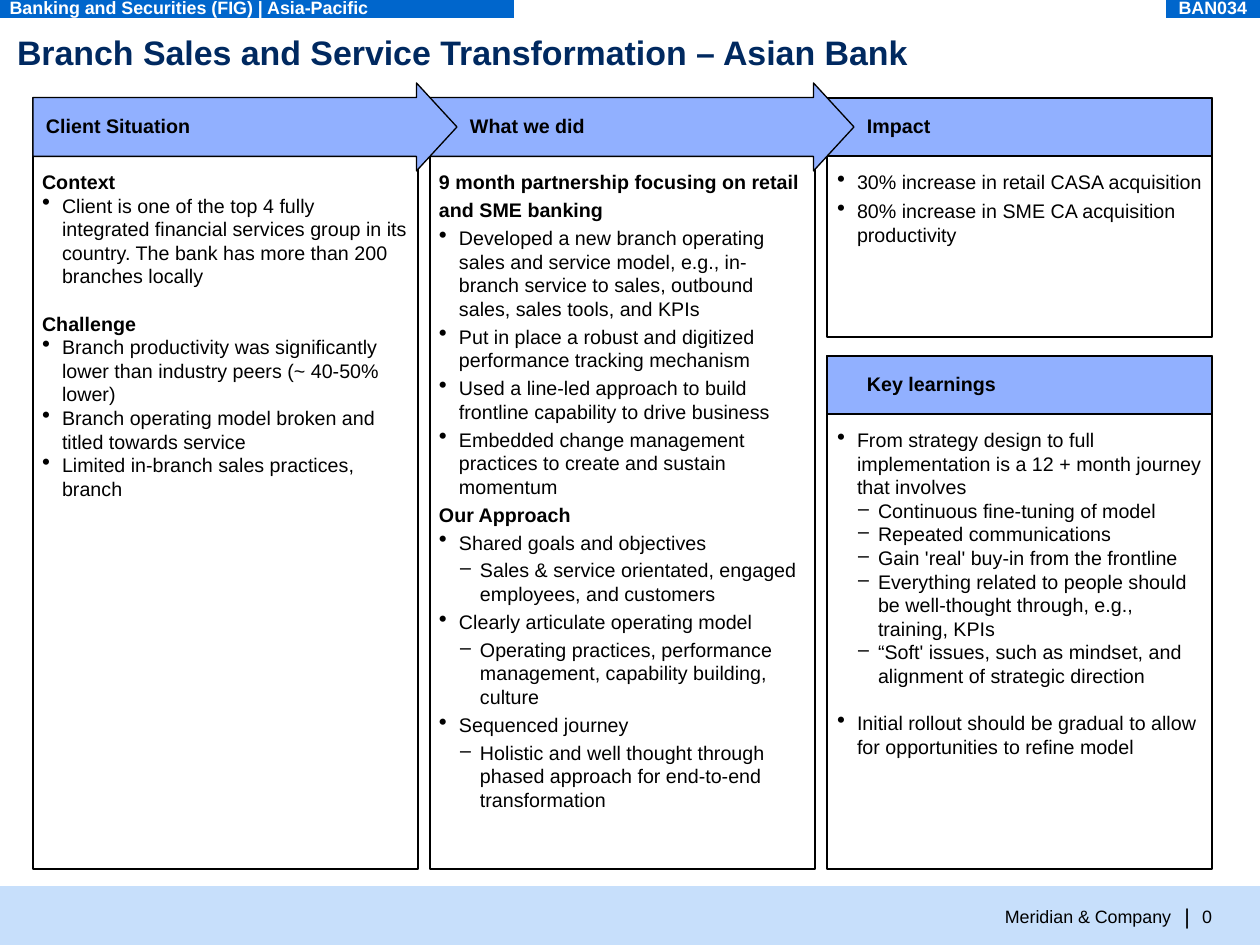
from dataclasses import dataclass

from lxml import etree
from pptx import Presentation
from pptx import util as u
from pptx.dml import color
from pptx.enum import shapes, text
from pptx.oxml import ns


@dataclass(frozen=True)
class Theme:
    font: str = "Arial"
    ink: str = "000000"
    navy: str = "002960"
    white: str = "FFFFFF"
    header: str = "91B0FF"
    tag: str = "0066CC"
    footer: str = "C7DFFB"
    title_size: int = 19
    body_size: int = 11
    small_size: int = 10
    rule_size: int = 12
    line_width: float = 0.75


THEME = Theme()
TITLE = "Branch Sales and Service Transformation – Asian Bank"
TAGS = [("Banking and Securities (FIG) | Asia-Pacific", -3, 517), ("BAN034", 1166, 94)]
FOOTER = [
    ("Meridian & Company", 900, 271, THEME.small_size, "RIGHT"),
    ("|", 1174, 16, THEME.rule_size, "RIGHT"),
    ("0", 1202, 22, THEME.small_size, "LEFT"),
]

HEADING, BULLET, DASH = 0, 1, 2
TIGHT, STEP, SMALL, BREAK = 0, 2.4, 3, 13.2

SITUATION = [
    (HEADING, TIGHT, "Context"),
    (BULLET, TIGHT, "Client is one of the top 4 fully integrated financial services group in its country. "
     "The bank has more than 200 branches locally"),
    (HEADING, BREAK, "Challenge"),
    (BULLET, TIGHT, "Branch productivity was significantly lower than industry peers (~ 40-50% lower)"),
    (BULLET, TIGHT, "Branch operating model broken and titled towards service"),
    (BULLET, TIGHT, "Limited in-branch sales practices, branch"),
]
WORK = [
    (HEADING, TIGHT, "9 month partnership focusing on retail"),
    (HEADING, STEP, "and SME banking"),
    (BULLET, STEP, "Developed a new branch operating sales and service model, e.g., in-branch service to sales, "
     "outbound sales, sales tools, and KPIs"),
    (BULLET, STEP, "Put in place a robust and digitized performance tracking mechanism"),
    (BULLET, STEP, "Used a line-led approach to build frontline capability to drive business"),
    (BULLET, STEP, "Embedded change management practices to create and sustain momentum"),
    (HEADING, STEP, "Our Approach"),
    (BULLET, STEP, "Shared goals and objectives"),
    (DASH, STEP, "Sales & service orientated, engaged employees, and customers"),
    (BULLET, STEP, "Clearly articulate operating model"),
    (DASH, STEP, "Operating practices, performance management, capability building, culture"),
    (BULLET, STEP, "Sequenced journey"),
    (DASH, STEP, "Holistic and well thought through phased approach for end-to-end transformation"),
]
IMPACT = [
    (BULLET, TIGHT, "30% increase in retail CASA acquisition"),
    (BULLET, SMALL, "80% increase in SME CA acquisition productivity"),
]
LEARNINGS = [
    (BULLET, TIGHT, "From strategy design to full implementation is a 12 + month journey that involves"),
    (DASH, TIGHT, "Continuous fine-tuning of model"),
    (DASH, TIGHT, "Repeated communications"),
    (DASH, TIGHT, "Gain 'real' buy-in from the frontline"),
    (DASH, TIGHT, "Everything related to people should be well-thought through, e.g., training, KPIs"),
    (DASH, TIGHT, "“Soft' issues, such as mindset, and alignment of strategic direction"),
    (BULLET, BREAK, "Initial rollout should be gradual to allow for opportunities to refine model"),
]

TOP, BOTTOM, SECOND_TOP = 98, 869, 356
PANELS = [
    ("Client Situation", 0, TOP, BOTTOM, True, 13, 9, SITUATION),
    ("What we did", 1, TOP, BOTTOM, True, 40, 9, WORK),
    ("Impact", 2, TOP, 337, False, 40, 10, IMPACT),
    ("Key learnings", 2, SECOND_TOP, BOTTOM, False, 40, 10, LEARNINGS),
]
LEFT, PITCH, PANEL_WIDTH, HEADER_HEIGHT = 33, 397, 385, 58
ARROW_WIDTH, ARROW_HEIGHT = 424, 88
BODY_OFFSET, BODY_WIDTH = 72, 366

PX = 7110


def px(length):
    return u.Emu(length * PX)


def rgb(value):
    return color.RGBColor.from_string(value)


presentation = Presentation()
presentation.slide_width, presentation.slide_height = px(1260), px(945)
slide = presentation.slides.add_slide(presentation.slide_layouts[6])


def add_block(kind, left, top, width, height, fill=None, outlined=False):
    shape = slide.shapes.add_shape(kind, px(left), px(top), px(width), px(height))
    shape.shadow.inherit = False
    if fill:
        shape.fill.solid()
        shape.fill.fore_color.rgb = rgb(fill)
    else:
        shape.fill.background()
    if outlined:
        shape.line.color.rgb = rgb(THEME.ink)
        shape.line.width = u.Pt(THEME.line_width)
    else:
        shape.line.fill.background()
    return shape


def add_run(paragraph, words, size, ink=THEME.ink, bold=False):
    run = paragraph.add_run()
    run.text = words
    run.font.name = THEME.font
    run.font.size = u.Pt(size)
    run.font.bold = bold
    run.font.color.rgb = rgb(ink)


def add_frame(left, top, width, height, anchor=text.MSO_ANCHOR.TOP):
    frame = slide.shapes.add_textbox(px(left), px(top), px(width), px(height)).text_frame
    frame.margin_left = frame.margin_right = frame.margin_top = frame.margin_bottom = 0
    frame.word_wrap = True
    frame.vertical_anchor = anchor
    return frame


def add_bullet(paragraph, level):
    properties = paragraph._p.get_or_add_pPr()
    properties.set("marL", str(px(41 * level // 2)))
    properties.set("indent", str(-px(20)))
    if level == BULLET:
        etree.SubElement(properties, ns.qn("a:buSzPct")).set("val", "120000")
    etree.SubElement(properties, ns.qn("a:buChar")).set("char", "•" if level == BULLET else "–")


def add_body(left, top, height, lines):
    frame = add_frame(left, top, BODY_WIDTH, height)
    for index, (level, space, words) in enumerate(lines):
        paragraph = frame.add_paragraph() if index else frame.paragraphs[0]
        if level != HEADING:
            add_bullet(paragraph, level)
        if space:
            paragraph.space_before = u.Pt(space)
        add_run(paragraph, words, THEME.body_size, bold=level == HEADING)


RECTANGLE = shapes.MSO_SHAPE.RECTANGLE
add_block(RECTANGLE, 0, 886, 1260, 59, THEME.footer)
for words, left, width, size, align in FOOTER:
    paragraph = add_frame(left, 903, width, 26, text.MSO_ANCHOR.MIDDLE).paragraphs[0]
    paragraph.alignment = text.PP_ALIGN[align]
    add_run(paragraph, words, size)

add_run(add_frame(17, 32, 1213, 42).paragraphs[0], TITLE, THEME.title_size, THEME.navy, True)

for heading, column, top, bottom, arrow, heading_inset, body_inset, lines in reversed(PANELS):
    left = LEFT + PITCH * column
    add_block(RECTANGLE, left, top, PANEL_WIDTH, bottom - top, outlined=True)
    if arrow:
        arrow_top = top + (HEADER_HEIGHT - ARROW_HEIGHT) // 2
        header = add_block(shapes.MSO_SHAPE.RIGHT_ARROW, left, arrow_top, ARROW_WIDTH, ARROW_HEIGHT,
                           THEME.header, True)
        header.adjustments[0], header.adjustments[1] = 0.67, 0.46
    else:
        add_block(RECTANGLE, left, top, PANEL_WIDTH, HEADER_HEIGHT, THEME.header, True)
    add_run(add_frame(left + heading_inset, top + 16, 250, 24).paragraphs[0], heading,
            THEME.body_size, bold=True)
    body_top = top + BODY_OFFSET
    add_body(left + body_inset, body_top, bottom - body_top - 9, lines)

for words, left, width in TAGS:
    frame = add_block(RECTANGLE, left, -3, width, 21, THEME.tag).text_frame
    frame.word_wrap = False
    frame.vertical_anchor = text.MSO_ANCHOR.MIDDLE
    frame.paragraphs[0].alignment = text.PP_ALIGN.LEFT
    add_run(frame.paragraphs[0], words, THEME.small_size, THEME.white, True)

presentation.save("out.pptx")
